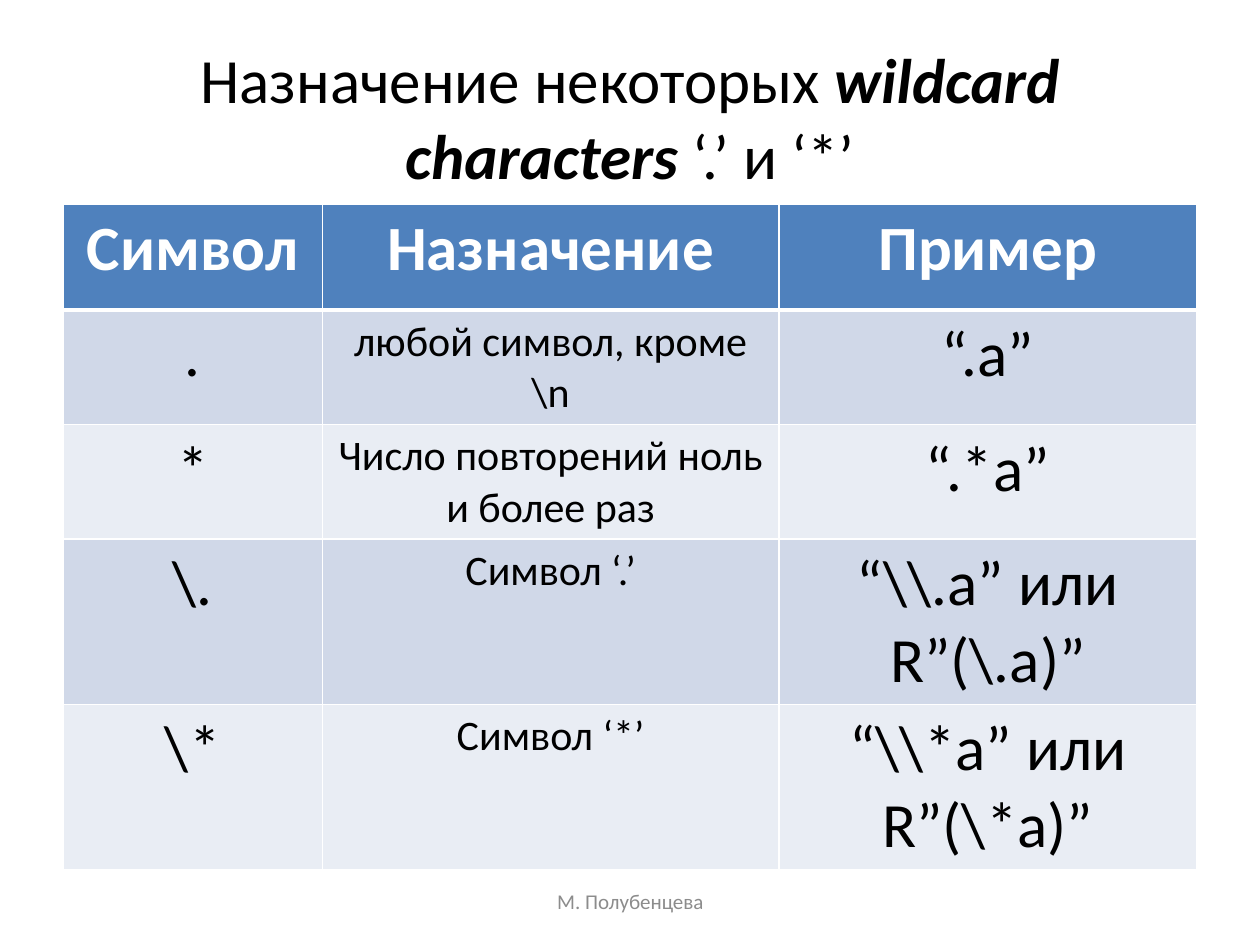
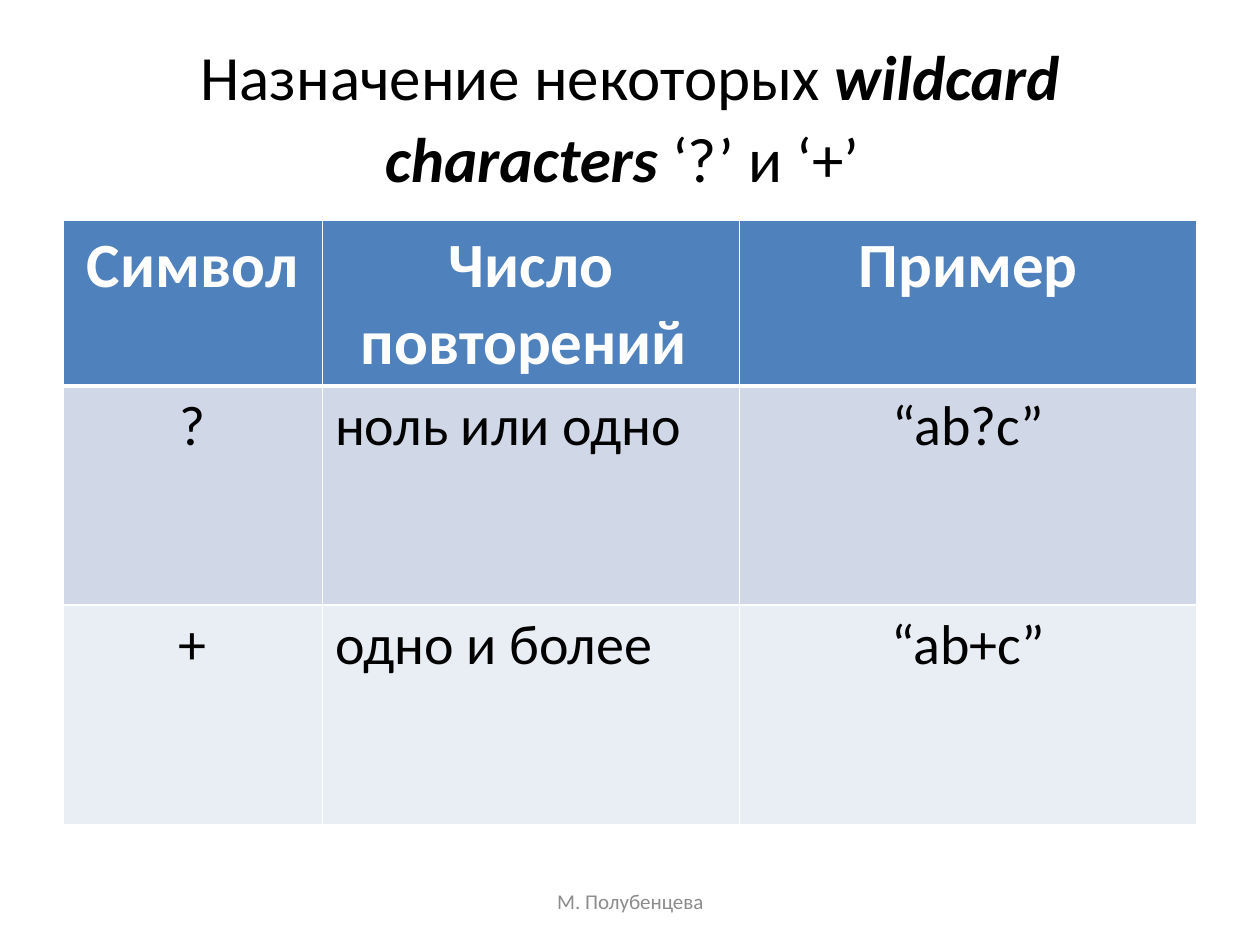
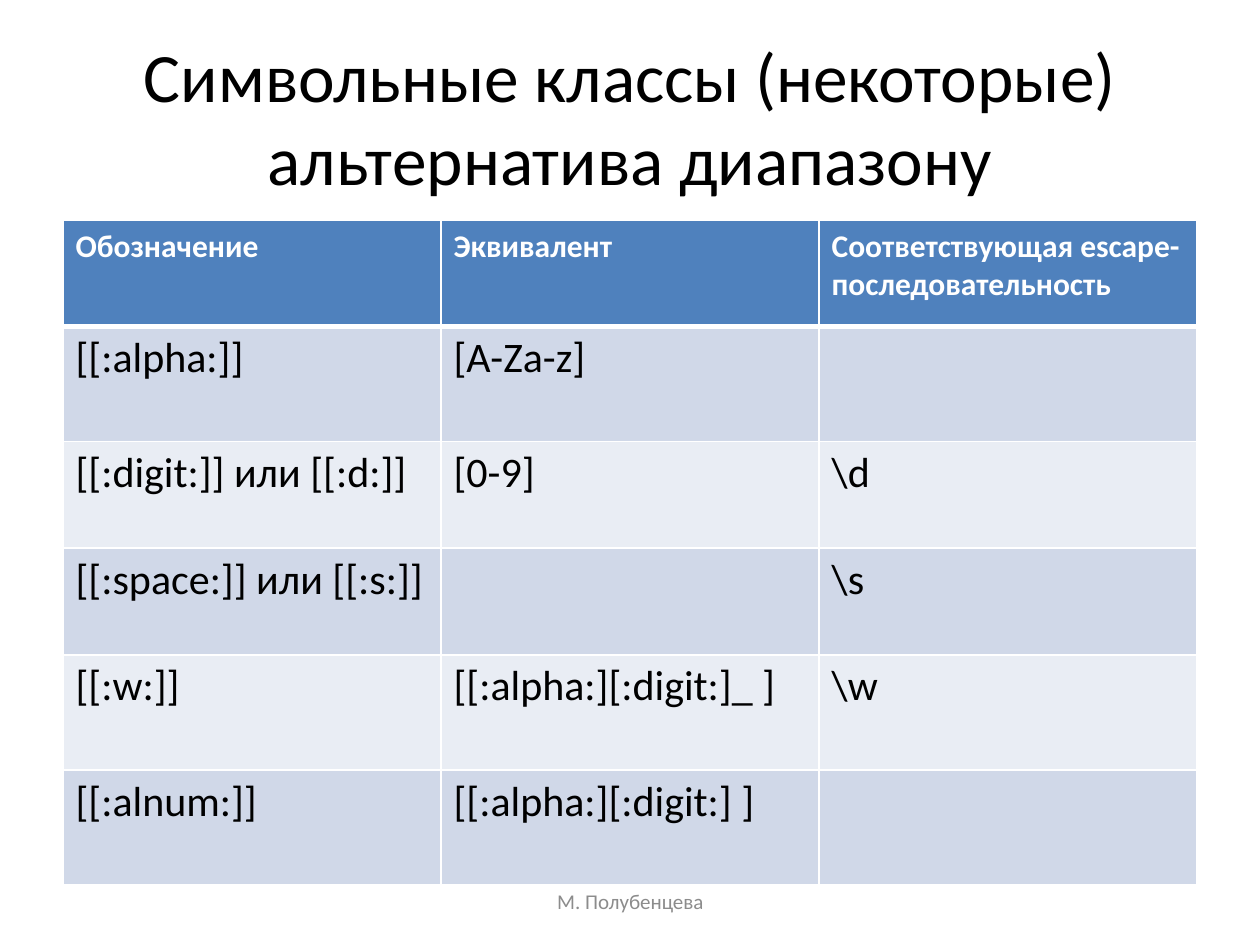
from lxml import etree
from pptx import Presentation
from pptx import util as u
from pptx.dml.color import RGBColor
from pptx.enum import text as t
from pptx.oxml.ns import qn

COLORS = {
    "ink": "000000",
    "paper": "FFFFFF",
    "header": "4F81BD",
    "odd_row": "D0D8E8",
    "even_row": "E9EDF4",
    "footer": "8C8C8C",
}
FONT = "Calibri"
MARGIN, CONTENT_WIDTH = 1.27, 22.86
AUTHOR = "М. Полубенцева"
LEFT, CENTER = t.PP_ALIGN.LEFT, t.PP_ALIGN.CENTER
TERM = {"bold": True, "italic": True}


def write(frame, content, size=18, color="ink", bold=False, italic=False, align=LEFT):
    """Fill a frame with a string or a list of (string, format changes)."""
    paragraph = frame.paragraphs[0]
    paragraph.alignment = align
    parts = [(content, {})] if isinstance(content, str) else content
    for words, changes in parts:
        style = {"size": size, "bold": bold, "italic": italic, **changes}
        for number, line in enumerate(words.split("\n")):
            if number:
                paragraph.add_line_break()
            run = paragraph.add_run()
            run.text = line
            run.font.name = FONT
            run.font.size = u.Pt(style["size"])
            run.font.bold = style["bold"]
            run.font.italic = style["italic"]
            run.font.color.rgb = RGBColor.from_string(COLORS[color])


def add_label(slide, content, left, top, width, height, **style):
    box = slide.shapes.add_textbox(u.Cm(left), u.Cm(top), u.Cm(width), u.Cm(height))
    box.text_frame.word_wrap = True
    box.text_frame.vertical_anchor = t.MSO_ANCHOR.MIDDLE
    write(box.text_frame, content, align=CENTER, **style)


def add_page(deck, title, title_size=36):
    """Add a slide with the shared title and footer."""
    slide = deck.slides.add_slide(deck.slide_layouts[6])
    add_label(slide, title, MARGIN, 0.76, CONTENT_WIDTH, 3.18, size=title_size)
    add_label(slide, AUTHOR, 8.69, 17.65, 8.04, 1.02, size=12, color="footer")
    return slide


def set_borders(cell, top=1, bottom=1):
    """Draw white cell borders; widths are in points."""
    properties = cell._tc.get_or_add_tcPr()
    widths = {"a:lnL": 1, "a:lnR": 1, "a:lnT": top, "a:lnB": bottom}
    for position, (tag, width) in enumerate(widths.items()):
        line = etree.Element(qn(tag), w=str(u.Pt(width)))
        fill = etree.SubElement(line, qn("a:solidFill"))
        etree.SubElement(fill, qn("a:srgbClr"), val=COLORS["paper"])
        properties.insert(position, line)


def add_reference(slide, rows, top, widths, heights, header_size, sizes, aligns,
                  header_align=CENTER):
    """Add a table with a header and banded rows; sizes and aligns go by column."""
    table = slide.shapes.add_table(
        len(rows), len(widths), u.Cm(MARGIN), u.Cm(top),
        u.Cm(CONTENT_WIDTH), u.Cm(sum(heights))).table
    for column, width in zip(table.columns, widths):
        column.width = u.Cm(width)
    for r, (entries, height) in enumerate(zip(rows, heights)):
        table.rows[r].height = u.Cm(height)
        band = "header" if r == 0 else "odd_row" if r % 2 else "even_row"
        for c, entry in enumerate(entries):
            cell = table.cell(r, c)
            cell.fill.solid()
            cell.fill.fore_color.rgb = RGBColor.from_string(COLORS[band])
            set_borders(cell, top=3 if r == 1 else 1, bottom=3 if r == 0 else 1)
            if not entry:
                continue
            if r == 0:
                write(cell.text_frame, entry, size=header_size, color="paper",
                      bold=True, align=header_align)
            else:
                write(cell.text_frame, entry, size=sizes[c], align=aligns[c])


def wildcard_title(symbols):
    return [("Назначение некоторых ", {}), ("wildcard characters ", TERM), (symbols, {})]


def main():
    deck = Presentation()
    deck.slide_width, deck.slide_height = u.Cm(25.4), u.Cm(19.05)

    # Dot and asterisk
    any_symbol = add_page(deck, wildcard_title("‘.’ и ‘*’"))
    add_reference(any_symbol, [
        ("Символ", "Назначение", "Пример"),
        (".", "любой символ, кроме \\n", "“.a”"),
        ("*", "Число повторений ноль и более раз", "“.*a”"),
        ("\\.", "Символ ‘.’", "“\\\\.a” или R”(\\.a)”"),
        ("\\*", "Символ ‘*’", "“\\\\*a” или R”(\\*a)”"),
    ], top=4.12, widths=(5.23, 9.2, 8.43), heights=(2.13, 2.31, 2.31, 3.33, 3.33),
        header_size=36, sizes=(36, 24, 36), aligns=(CENTER,) * 3)

    # Question mark and plus
    repeats = add_page(deck, wildcard_title("‘?’ и ‘+’") + [(" ", {"size": 39.6})])
    add_reference(repeats, [
        ("Символ", "Число повторений ", "Пример"),
        ("?", "ноль или одно", "“ab?c”"),
        ("+", "одно и более", "“ab+c”"),
    ], top=4.45, widths=(5.23, 8.41, 9.22), heights=(3.33, 4.42, 4.42),
        header_size=36, sizes=(32,) * 3, aligns=(CENTER, LEFT, CENTER))

    # Character classes
    classes = add_page(deck, "Символьные классы (некоторые)\nальтернатива диапазону",
                       title_size=39.6)
    add_reference(classes, [
        ("Обозначение", "Эквивалент", "Соответствующая escape-последовательность"),
        ("[[:alpha:]]", "[A-Za-z]", ""),
        ("[[:digit:]] или [[:d:]]", "[0-9]", "\\d"),
        ("[[:space:]] или [[:s:]]", "", "\\s"),
        ("[[:w:]]", "[[:alpha:][:digit:]_ ]", "\\w"),
        ("[[:alnum:]]", "[[:alpha:][:digit:] ]", ""),
    ], top=4.45, widths=(CONTENT_WIDTH / 3,) * 3,
        heights=(2.13, 2.32, 2.15, 2.15, 2.32, 2.32),
        header_size=18, sizes=(24,) * 3, aligns=(LEFT,) * 3, header_align=LEFT)

    deck.save("out.pptx")


if __name__ == "__main__":
    main()
